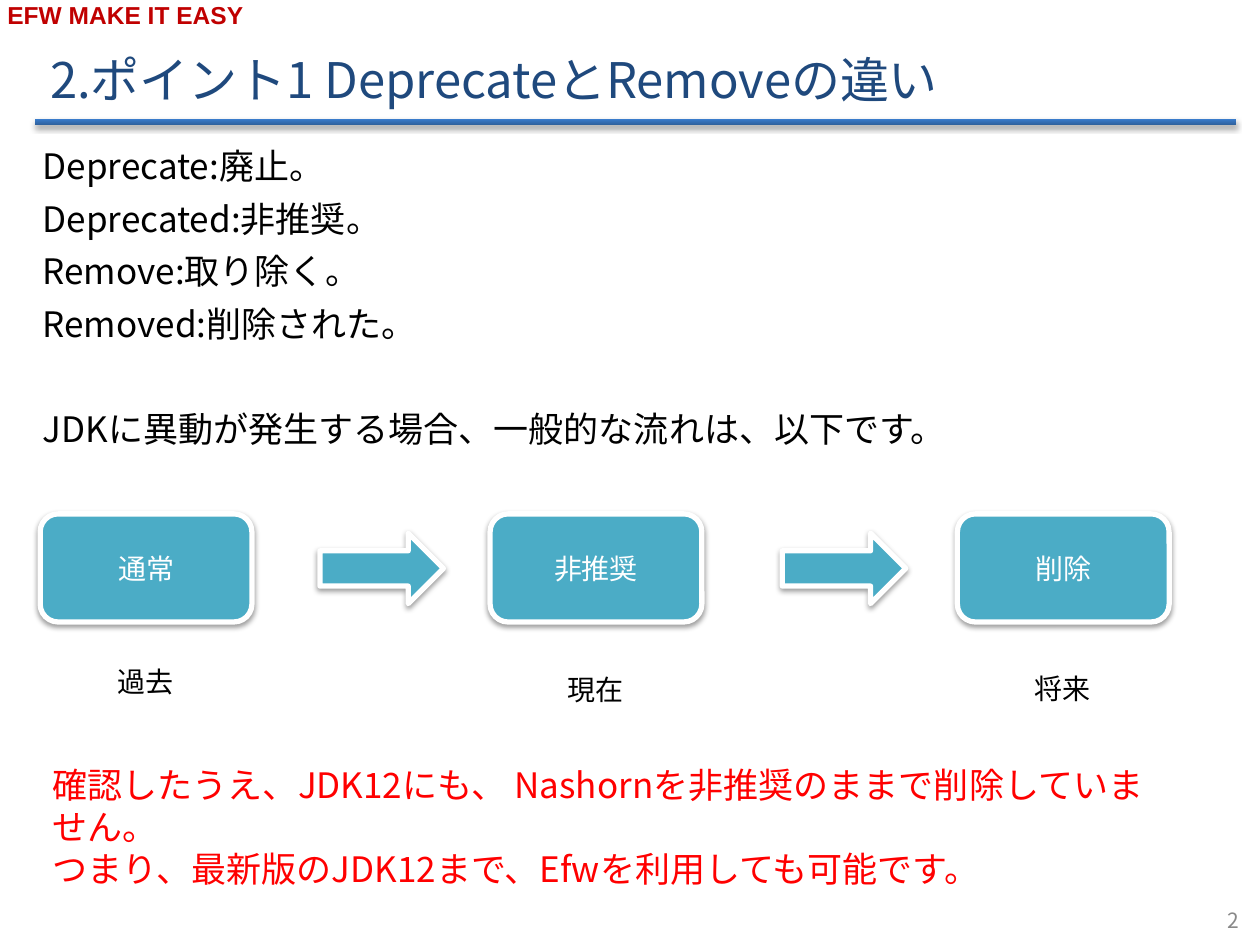
from lxml import etree
from pptx import Presentation
from pptx import util as u
from pptx.dml import color as dml
from pptx.enum import lang, shapes, text
from pptx.oxml import ns

COLORS = {
    "brand": "C00000", "title": "1F497D", "body": "000000", "note": "FF0000",
    "number": "898989", "step": "4BACC6", "white": "FFFFFF",
    "rule_bottom": "2F5F99", "rule_top": "3A7CCB",
}
COLORS = {name: dml.RGBColor.from_string(value) for name, value in COLORS.items()}
JAPANESE = "Noto Sans CJK JP"
LEFT, CENTER, RIGHT = text.PP_ALIGN.LEFT, text.PP_ALIGN.CENTER, text.PP_ALIGN.RIGHT

prs = Presentation()
prs.slide_width, prs.slide_height = u.Cm(25.4), u.Cm(19.05)
slide = prs.slides.add_slide(prs.slide_layouts[6])


def write(shape, lines, size, color, align=LEFT, anchor=text.MSO_ANCHOR.TOP, font=JAPANESE):
    frame = shape.text_frame
    frame.word_wrap = True
    frame.vertical_anchor = anchor
    frame.text = "\n".join(lines)
    for paragraph in frame.paragraphs:
        paragraph.alignment = align
        paragraph.font.size = u.Pt(size)
        paragraph.font.name = font
        paragraph.font.color.rgb = COLORS[color]
        paragraph.font.language_id = lang.MSO_LANGUAGE_ID.JAPANESE
        latin = paragraph._p.pPr.find(".//" + ns.qn("a:latin"))
        east_asian = etree.Element(ns.qn("a:ea"), typeface=font)
        latin.addnext(east_asian)
    return frame.paragraphs


def add_shadowed(kind, left, top, width, height, opacity):
    shape = slide.shapes.add_shape(kind, u.Cm(left), u.Cm(top), u.Cm(width), u.Cm(height))
    shape.shadow.inherit = False
    effects = shape._element.spPr.find(ns.qn("a:effectLst"))
    shadow = etree.SubElement(effects, ns.qn("a:outerShdw"), blurRad="40000",
                              dist="21000", dir="5400000", rotWithShape="0")
    black = etree.SubElement(shadow, ns.qn("a:srgbClr"), val="000000")
    etree.SubElement(black, ns.qn("a:alpha"), val=str(opacity * 1000))
    return shape


rule = add_shadowed(shapes.MSO_SHAPE.ROUNDED_RECTANGLE, 0.71, 2.4, 24.2, 0.13, 35)
rule.fill.gradient()
rule.fill.gradient_angle = 90
for stop, name in zip(rule.fill.gradient_stops, ("rule_bottom", "rule_top")):
    stop.color.rgb = COLORS[name]
rule.line.fill.background()

brand = slide.shapes.add_textbox(u.Cm(-0.1), u.Cm(-0.13), u.Cm(9), u.Cm(0.86))
write(brand, ["EFW MAKE IT EASY"], 14, "brand", font="Arial")[0].font.bold = True

title = slide.shapes.add_textbox(u.Cm(0.76), u.Cm(0.76), u.Cm(22.86), u.Cm(1.55))
heading = write(title, ["2.ポイント1 DeprecateとRemoveの違い"], 28, "title",
                anchor=text.MSO_ANCHOR.MIDDLE)[0]
heading.line_spacing = 1.1
heading.space_before = u.Pt(7)

number = slide.shapes.add_textbox(u.Cm(19.3), u.Cm(18.03), u.Cm(5.92), u.Cm(1.02))
write(number, ["2"], 12, "number", RIGHT, text.MSO_ANCHOR.MIDDLE)

terms = slide.shapes.add_textbox(u.Cm(0.61), u.Cm(2.79), u.Cm(23.83), u.Cm(6.45))
definitions = write(terms, [
    "Deprecate:廃止。",
    "Deprecated:非推奨。",
    "Remove:取り除く。",
    "Removed:削除された。",
    "JDKに異動が発生する場合、一般的な流れは、以下です。",
], 20, "body")
for paragraph in definitions:
    paragraph.space_after = u.Pt(6)
definitions[-1].space_before = u.Pt(30)

stages = [("通常", "過去", 0.81, 13.28), ("非推奨", "現在", 9.88, 13.44), ("削除", "将来", 19.3, 13.41)]
steps = []
for stage, period, left, period_top in stages:
    step = add_shadowed(shapes.MSO_SHAPE.FLOWCHART_ALTERNATE_PROCESS, left, 10.36, 4.27, 2.18, 38)
    write(step, [stage], 16, "white", CENTER, text.MSO_ANCHOR.MIDDLE)
    steps.append(step)
    caption = slide.shapes.add_textbox(u.Cm(left), u.Cm(period_top), u.Cm(4.24), u.Cm(0.94))
    write(caption, [period], 16, "body", CENTER)

for left in (6.45, 15.77):
    steps.append(add_shadowed(shapes.MSO_SHAPE.RIGHT_ARROW, left, 10.75, 2.49, 1.42, 38))

for step in steps:
    step.fill.solid()
    step.fill.fore_color.rgb = COLORS["step"]
    step.line.color.rgb = COLORS["white"]
    step.line.width = u.Pt(3)

conclusion = slide.shapes.add_textbox(u.Cm(0.81), u.Cm(15.27), u.Cm(23.11), u.Cm(1.96))
write(conclusion, [
    "確認したうえ、JDK12にも、 Nashornを非推奨のままで削除していません。",
    "つまり、最新版のJDK12まで、Efwを利用しても可能です。",
], 20, "note")

prs.save("out.pptx")
